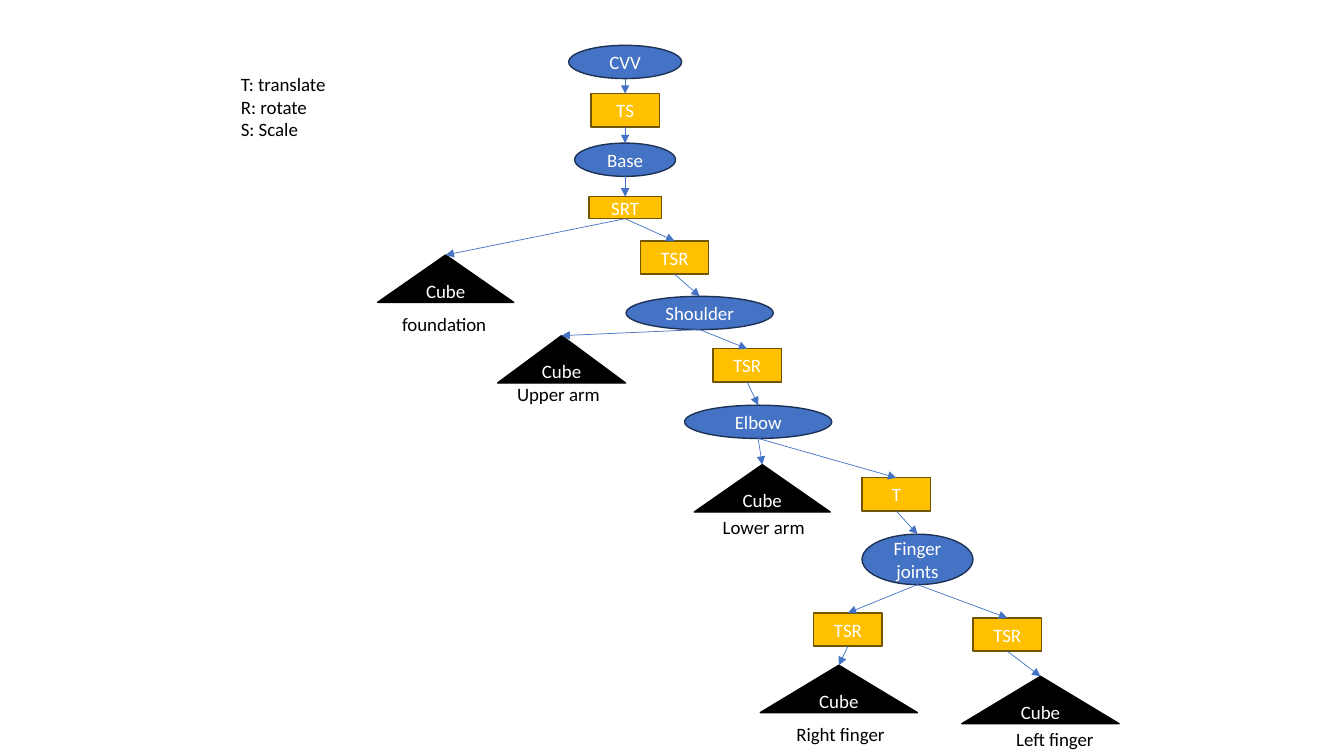
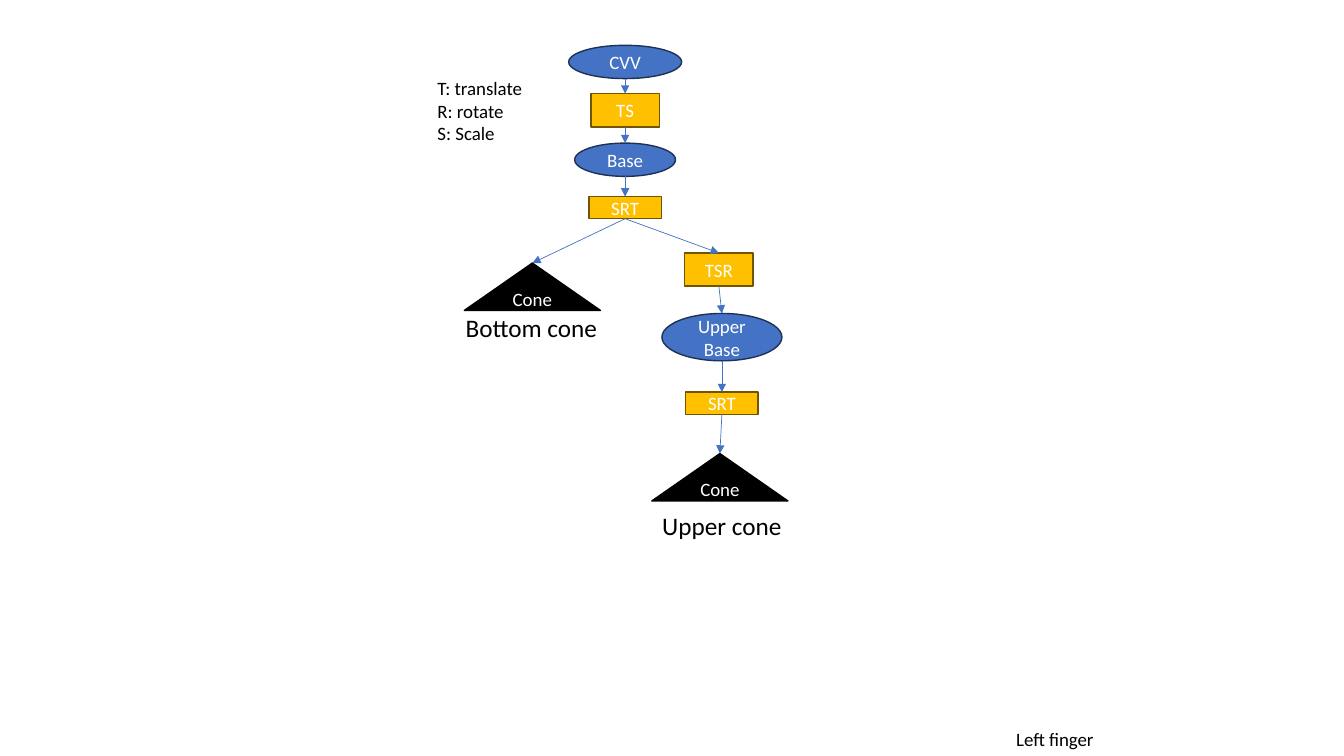
from dataclasses import dataclass

from lxml.etree import SubElement
from pptx import Presentation
from pptx.dml.color import RGBColor
from pptx.enum.shapes import MSO_CONNECTOR, MSO_SHAPE
from pptx.enum.text import MSO_ANCHOR, MSO_AUTO_SIZE, PP_ALIGN
from pptx.oxml.ns import qn
from pptx.util import Inches, Pt


@dataclass(frozen=True)
class Theme:
    font: str = "Calibri"
    body: float = 13.5
    large: float = 18
    ink: str = "000000"
    node_text: str = "FFFFFF"
    arrow: str = "4472C4"
    outline_width: float = 1
    arrow_width: float = 0.5


THEME = Theme()
BOTTOM_CENTRE = {"joint": 4, "transform": 2}  # connection sites
TOP_CENTRE = 0

# kind: preset, fill, outline, default width, default height
KINDS = {
    "joint": (MSO_SHAPE.OVAL, "4472C4", "1E3256", 1.46, 0.33),
    "transform": (MSO_SHAPE.RECTANGLE, "FFC000", "705400", 0.68, 0.33),
    "solid": (MSO_SHAPE.ISOSCELES_TRIANGLE, "000000", "000000", 1.35, 0.47),
}

LEGEND = "T: translate\nR: rotate\nS: Scale"
LEFT_FINGER = ("Left finger", 9.98, 7.17, 1.08, 0.33, THEME.body, True)

# key: kind, text, centre x, top[, width[, height]]
SPINE = {
    "cvv": ("joint", "CVV", 6.2, 0.45, 1.12),
    "world": ("transform", "TS", 6.2, 0.93),
    "base": ("joint", "Base", 6.2, 1.42, 1.0),
    "base move": ("transform", "SRT", 6.2, 1.95, 0.72, 0.22),
}
SPINE_LINKS = list(zip(list(SPINE), list(SPINE)[1:]))

# labels: text, left, top, width, height, size, wraps
ROBOT_ARM = {
    "nodes": {
        "foundation": ("solid", "Cube", 4.42, 2.53),
        "shoulder move": ("transform", "TSR", 6.69, 2.39),
        "shoulder": ("joint", "Shoulder", 6.94, 2.94),
        "upper arm": ("solid", "Cube", 5.57, 3.33, 1.27),
        "elbow move": ("transform", "TSR", 7.41, 3.46),
        "elbow": ("joint", "Elbow", 7.52, 4.02),
        "lower arm": ("solid", "Cube", 7.56, 4.61),
        "finger move": ("transform", "T", 8.89, 4.74),
        "fingers": ("joint", "Finger joints", 9.1, 5.3, 1.1, 0.5),
        "right move": ("transform", "TSR", 8.41, 6.08),
        "right finger": ("solid", "Cube", 8.32, 6.6, 1.56),
        "left move": ("transform", "TSR", 9.99, 6.13),
        "left finger": ("solid", "Cube", 10.32, 6.71, 1.56),
    },
    "links": [
        ("base move", "foundation"), ("base move", "shoulder move"),
        ("shoulder move", "shoulder"), ("shoulder", "upper arm"),
        ("shoulder", "elbow move"), ("elbow move", "elbow"),
        ("elbow", "lower arm"), ("elbow", "finger move"),
        ("finger move", "fingers"), ("fingers", "right move"),
        ("right move", "right finger"), ("fingers", "left move"),
        ("left move", "left finger"),
    ],
    "labels": [
        (LEGEND, 2.29, 0.67, 1.05, 0.78, THEME.body, False),
        ("foundation", 3.89, 3.05, 1.2, 0.33, THEME.body, True),
        ("Upper arm", 5.03, 3.75, 1.66, 0.33, THEME.body, True),
        ("Lower arm", 7.07, 5.07, 1.56, 0.33, THEME.body, True),
        ("Right finger", 7.8, 7.12, 1.09, 0.33, THEME.body, True),
        LEFT_FINGER,
    ],
}
CONES = {
    "nodes": {
        "bottom cone": ("solid", "Cone", 5.28, 2.61),
        "upper move": ("transform", "TSR", 7.13, 2.51),
        "upper base": ("joint", "Upper Base", 7.16, 3.11, 1.19, 0.47),
        "cone move": ("transform", "SRT", 7.16, 3.89, 0.72, 0.22),
        "upper cone": ("solid", "Cone", 7.14, 4.5),
    },
    "links": [
        ("base move", "bottom cone"), ("base move", "upper move"),
        ("upper move", "upper base"), ("upper base", "cone move"),
        ("cone move", "upper cone"),
    ],
    "labels": [
        (LEGEND, 4.24, 0.71, 1.05, 0.78, THEME.body, False),
        ("Bottom cone", 4.52, 3.05, 1.52, 0.4, THEME.large, False),
        ("Upper cone", 6.47, 5.01, 1.4, 0.4, THEME.large, False),
        LEFT_FINGER,
    ],
}


def rgb(value):
    return RGBColor.from_string(value)


def write(frame, text, size, color, align):
    frame.text = text
    for paragraph in frame.paragraphs:
        paragraph.alignment = align
        for run in paragraph.runs:
            run.font.name = THEME.font
            run.font.size = Pt(size)
            run.font.color.rgb = rgb(color)


def add_node(slide, kind, text, centre, top, width=None, height=None):
    preset, fill, outline, default_width, default_height = KINDS[kind]
    width, height = width or default_width, height or default_height
    node = slide.shapes.add_shape(
        preset, Inches(centre - width / 2), Inches(top), Inches(width), Inches(height))
    node.shadow.inherit = False
    node.fill.solid()
    node.fill.fore_color.rgb = rgb(fill)
    node.line.color.rgb = rgb(outline)
    node.line.width = Pt(THEME.outline_width)
    node.text_frame.word_wrap = True
    node.text_frame.vertical_anchor = MSO_ANCHOR.MIDDLE
    write(node.text_frame, text, THEME.body, THEME.node_text, PP_ALIGN.CENTER)
    return node


def add_arrow(slide, parent, child, parent_kind):
    """Glue an arrow from the parent's bottom centre to the child's top centre."""
    arrow = slide.shapes.add_connector(MSO_CONNECTOR.STRAIGHT, 0, 0, 0, 0)
    arrow.begin_connect(parent, 2)
    arrow.end_connect(child, TOP_CENTRE)
    start = next(arrow.element.iter(qn("a:stCxn")))
    start.set("idx", str(BOTTOM_CENTRE[parent_kind]))
    arrow.line.color.rgb = rgb(THEME.arrow)
    arrow.line.width = Pt(THEME.arrow_width)
    properties = arrow.element.spPr
    SubElement(properties.find(qn("a:ln")), qn("a:tailEnd"), type="triangle")
    SubElement(properties, qn("a:effectLst"))


def add_label(slide, text, left, top, width, height, size, wraps):
    label = slide.shapes.add_textbox(*map(Inches, (left, top, width, height)))
    label.text_frame.word_wrap = wraps
    label.text_frame.auto_size = MSO_AUTO_SIZE.SHAPE_TO_FIT_TEXT
    write(label.text_frame, text, size, THEME.ink, PP_ALIGN.LEFT)


def add_scene_graph(deck, graph):
    slide = deck.slides.add_slide(deck.slide_layouts.get_by_name("Blank"))
    nodes = {**SPINE, **graph["nodes"]}
    placed = {key: add_node(slide, *node) for key, node in nodes.items()}
    for parent, child in SPINE_LINKS + graph["links"]:
        add_arrow(slide, placed[parent], placed[child], nodes[parent][0])
    for label in graph["labels"]:
        add_label(slide, *label)


def main():
    deck = Presentation()
    deck.slide_width, deck.slide_height = Inches(13.33), Inches(7.5)
    for graph in (ROBOT_ARM, CONES):
        add_scene_graph(deck, graph)
    deck.save("out.pptx")


if __name__ == "__main__":
    main()
